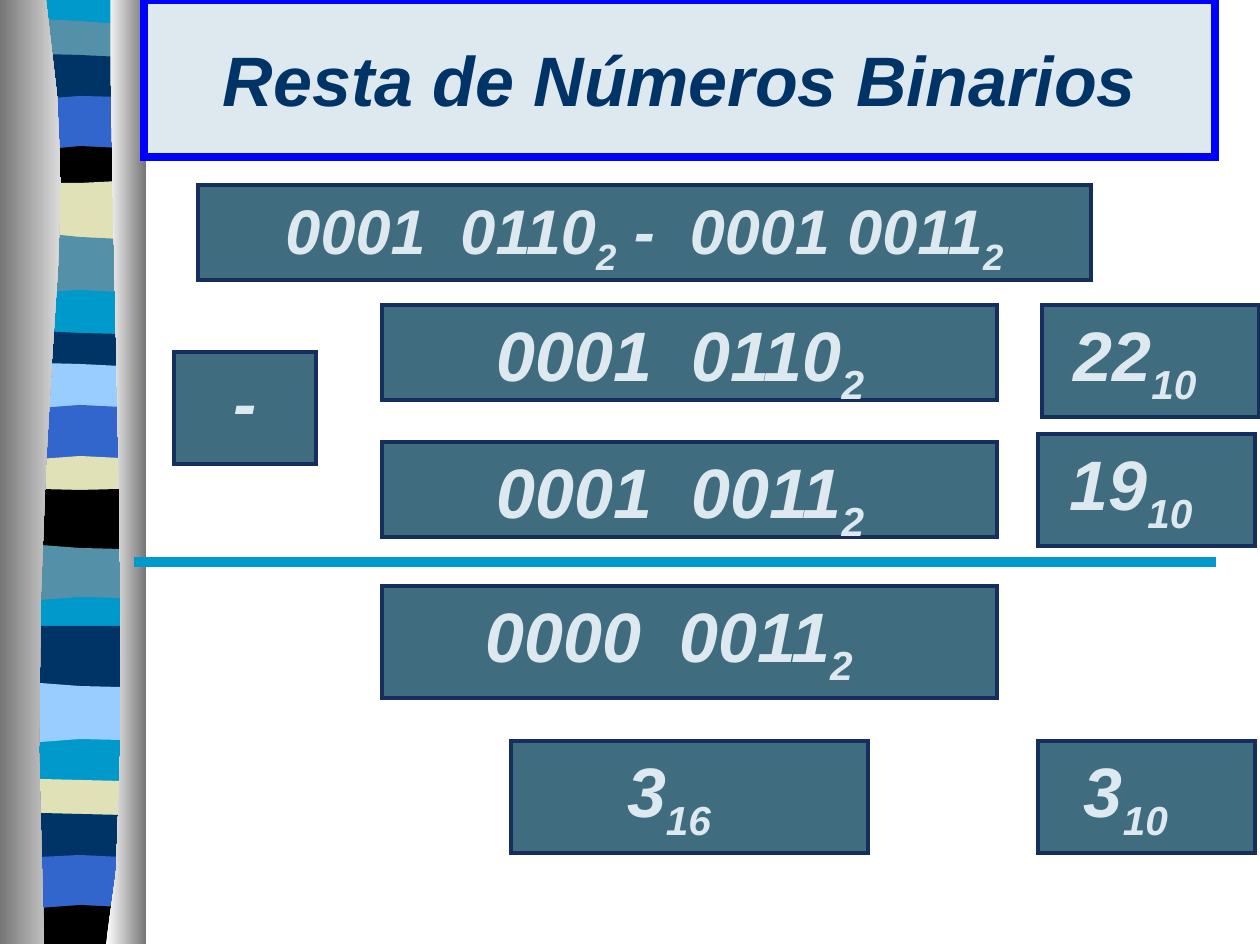
from pptx import Presentation
from pptx.dml.color import RGBColor
from pptx.enum.shapes import MSO_CONNECTOR, MSO_SHAPE
from pptx.enum.text import MSO_ANCHOR, PP_ALIGN
from pptx.oxml.ns import qn
from pptx.util import Inches, Pt

SCALE = Inches(1) / 126
WHITE = RGBColor(0xFF, 0xFF, 0xFF)
BLACK = RGBColor(0x00, 0x00, 0x00)
GREY = RGBColor(0x76, 0x76, 0x76)
LIGHT_GREY = RGBColor(0xDC, 0xDC, 0xDC)
NAVY = RGBColor(0x00, 0x33, 0x66)
CYAN = RGBColor(0x00, 0x99, 0xCC)
TEAL = RGBColor(0x54, 0x90, 0xA8)
BLUE = RGBColor(0x33, 0x66, 0xCC)
SKY = RGBColor(0x99, 0xCC, 0xFF)
SAND = RGBColor(0xE1, 0xE1, 0xB7)
PALE = RGBColor(0xDD, 0xE9, 0xEE)
BOX_FILL = RGBColor(0x3F, 0x6C, 0x7E)
BOX_LINE = RGBColor(0x16, 0x2E, 0x5D)
TITLE_LINE = RGBColor(0x00, 0x00, 0xFF)

RIBBON_LEFT, RIBBON_RIGHT, RIBBON_BOTTOM = 8, 144, 941
BAND_XS = (RIBBON_LEFT, 40, 80, 120, RIBBON_RIGHT)
BANDS = [
    (TEAL, 19, 21, 24),
    (NAVY, 54, 55, 57),
    (BLUE, 99, 96, 97),
    (BLACK, 150, 146, 148),
    (SAND, 183, 183, 181),
    (TEAL, 233, 237, 239),
    (CYAN, 292, 290, 292),
    (NAVY, 331, 333, 334),
    (SKY, 363, 364, 366),
    (BLUE, 408, 405, 407),
    (SAND, 459, 456, 458),
    (BLACK, 489, 490, 489),
    (TEAL, 545, 548, 549),
    (CYAN, 600, 597, 598),
    (NAVY, 626, 626, 626),
    (SKY, 683, 686, 687),
    (CYAN, 742, 739, 740),
    (SAND, 779, 780, 781),
    (NAVY, 813, 814, 815),
    (BLUE, 857, 855, 857),
    (BLACK, 908, 905, 907),
    (CYAN, 944, 944, 944),
]

SUM_BOXES = [
    (198, 185, 893, 95, 36, 0, [("0001  0110", "2"), (" -  0001 0011", "2")]),
    (382, 305, 615, 95, 40, 18, [("0001  0110", "2")]),
    (511, 741, 357, 112, 40, 41, [("3", "16")]),
    (382, 442, 615, 95, 40, 18, [("0001  0011", "2")]),
    (382, 586, 615, 112, 40, 41, [("0000  0011", "2")]),
    (174, 352, 142, 112, 40, 0, [("-", "")]),
]
DECIMAL_BOXES = [
    (1042, 305, 217, 112, 40, 31, [("22", "10")]),
    (1038, 434, 217, 112, 40, 31, [("19", "10")]),
    (1038, 741, 217, 112, 40, 41, [("3", "10")]),
]


def px(length):
    return round(length * SCALE)


def add_outline(page, points):
    builder = page.shapes.build_freeform(*points[0], scale=SCALE)
    builder.add_line_segments(points[1:], close=True)
    outline = builder.convert_to_shape()
    outline.shadow.inherit = False
    outline.line.fill.background()
    return outline


def add_band(page, points, color):
    band = add_outline(page, points)
    band.fill.solid()
    band.fill.fore_color.rgb = color


def wave(left, middle, right):
    slope = (right - left) / 2
    bend = (left + right) / 2 - middle
    steps = [(x, (x - 80) / 40) for x in BAND_XS]
    return [(x, round(middle + slope * t + bend * t * t)) for x, t in steps]


def add_ribbon(page):
    top = [(RIBBON_LEFT, 0), (RIBBON_RIGHT, 0)]
    add_band(page, top + [(RIBBON_RIGHT, RIBBON_BOTTOM), (RIBBON_LEFT, RIBBON_BOTTOM)], CYAN)
    for (color, *heights), (next_color, *next_heights) in zip(BANDS, BANDS[1:]):
        if color == CYAN:
            continue
        if next_color == CYAN:
            base = wave(*next_heights)[::-1]
        else:
            bottom = max(next_heights) + 8
            base = [(RIBBON_RIGHT, bottom), (RIBBON_LEFT, bottom)]
        add_band(page, wave(*heights) + base, color)


def bezier(start, first, second, end, steps=8):
    def blend(t, a, b, c, d):
        u = 1 - t
        return u**3 * a + 3 * u * u * t * b + 3 * u * t * t * c + t**3 * d

    return [
        tuple(round(blend(i / steps, *axis), 2) for axis in zip(start, first, second, end))
        for i in range(steps + 1)
    ]


def add_curtain(page, curve, edge, colors):
    curtain = add_outline(page, bezier(*curve) + [(edge, curve[-1][1]), (edge, 0)])
    curtain.fill.gradient()
    curtain.fill.gradient_angle = 0
    for position, (stop, color) in enumerate(zip(curtain.fill.gradient_stops, colors)):
        stop.color.rgb = color
        stop.position = position


def add_box(page, bounds, fill, line, width):
    box = page.shapes.add_shape(MSO_SHAPE.RECTANGLE, *map(px, bounds))
    box.shadow.inherit = False
    box.fill.solid()
    box.fill.fore_color.rgb = fill
    box.line.color.rgb = line
    box.line.width = Pt(width)
    outline = box._element.spPr.find(qn("a:ln"))
    outline.append(outline.makeelement(qn("a:miter"), {"lim": "800000"}))
    box.text_frame.word_wrap = True
    return box


def style_para(para, size, color):
    para.alignment = PP_ALIGN.CENTER
    para.font.name = "Arial"
    para.font.size = Pt(size)
    para.font.bold = True
    para.font.italic = True
    para.font.color.rgb = color


def add_title(page, text):
    box = add_box(page, (144, 0, 1071, 157), PALE, TITLE_LINE, 4.5)
    box.text_frame.vertical_anchor = MSO_ANCHOR.MIDDLE
    para = box.text_frame.paragraphs[0]
    style_para(para, 40, NAVY)
    para.add_run().text = text


def add_number(page, left, top, width, height, size, shift, terms):
    box = add_box(page, (left, top, width, height), BOX_FILL, BOX_LINE, 2.5)
    frame = box.text_frame
    frame.vertical_anchor = MSO_ANCHOR.TOP
    frame.margin_left = px(12)
    frame.margin_right = px(12 + shift)
    frame.margin_top = px(7)
    frame.margin_bottom = 0
    para = frame.paragraphs[0]
    style_para(para, size, PALE)
    for digits, base in terms:
        para.add_run().text = digits
        if base:
            span = para.add_run()
            span.text = base
            span._r.get_or_add_rPr().set("baseline", "-25000")


def add_rule(page, left, right, height):
    ends = map(px, (left, height, right, height))
    rule = page.shapes.add_connector(MSO_CONNECTOR.STRAIGHT, *ends)
    rule.line.color.rgb = CYAN
    rule.line.width = Pt(6)
    properties = rule._element.spPr
    properties.append(properties.makeelement(qn("a:effectLst"), {}))


def main():
    deck = Presentation()
    deck.slide_width = px(1260)
    deck.slide_height = px(945)
    page = deck.slides.add_slide(deck.slide_layouts[6])
    add_ribbon(page)
    left_curve = ((46, 0), (89, 272), (21, 373), (44, 944))
    right_curve = ((111, 0), (106, 158), (140, 814), (106, 944))
    add_curtain(page, left_curve, 0, (GREY, LIGHT_GREY))
    add_curtain(page, right_curve, 146, (WHITE, GREY))
    add_title(page, "Resta de Números Binarios")
    for number in SUM_BOXES:
        add_number(page, *number)
    add_rule(page, 134, 1216, 562)
    for number in DECIMAL_BOXES:
        add_number(page, *number)
    deck.save("out.pptx")


if __name__ == "__main__":
    main()
